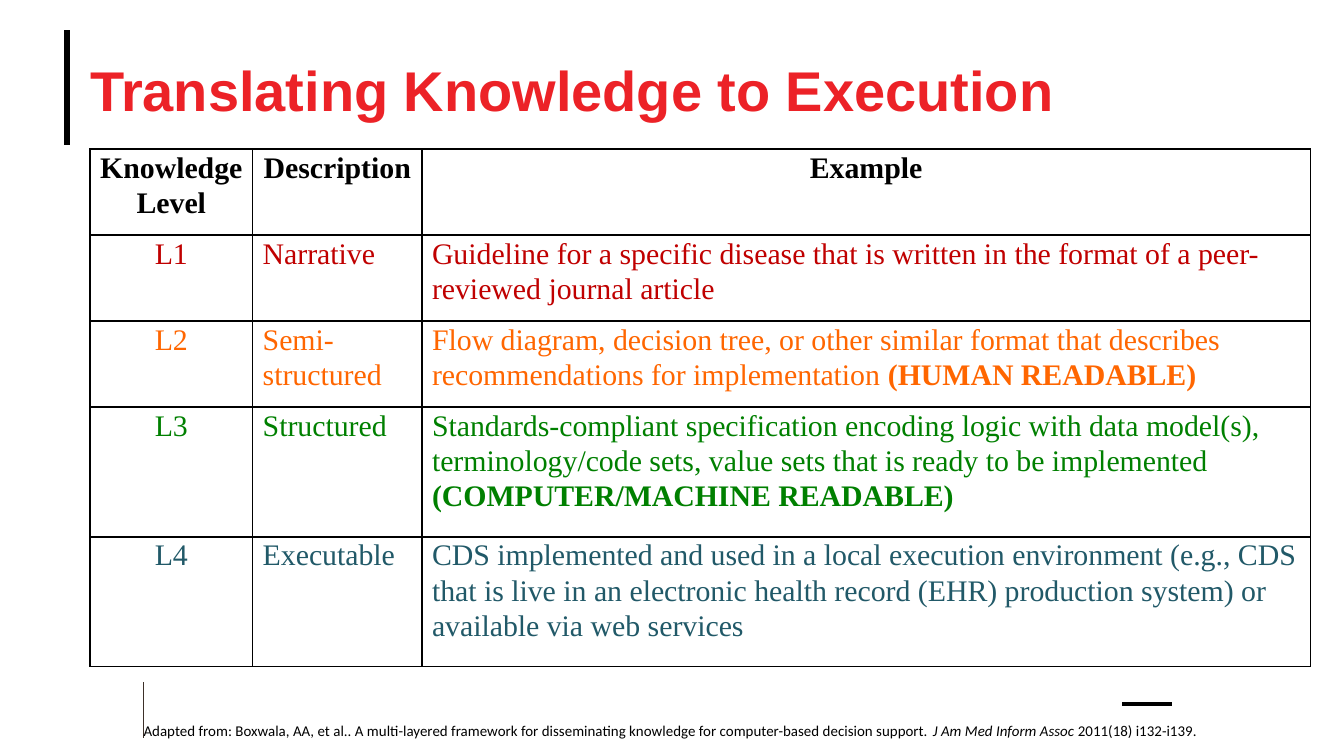
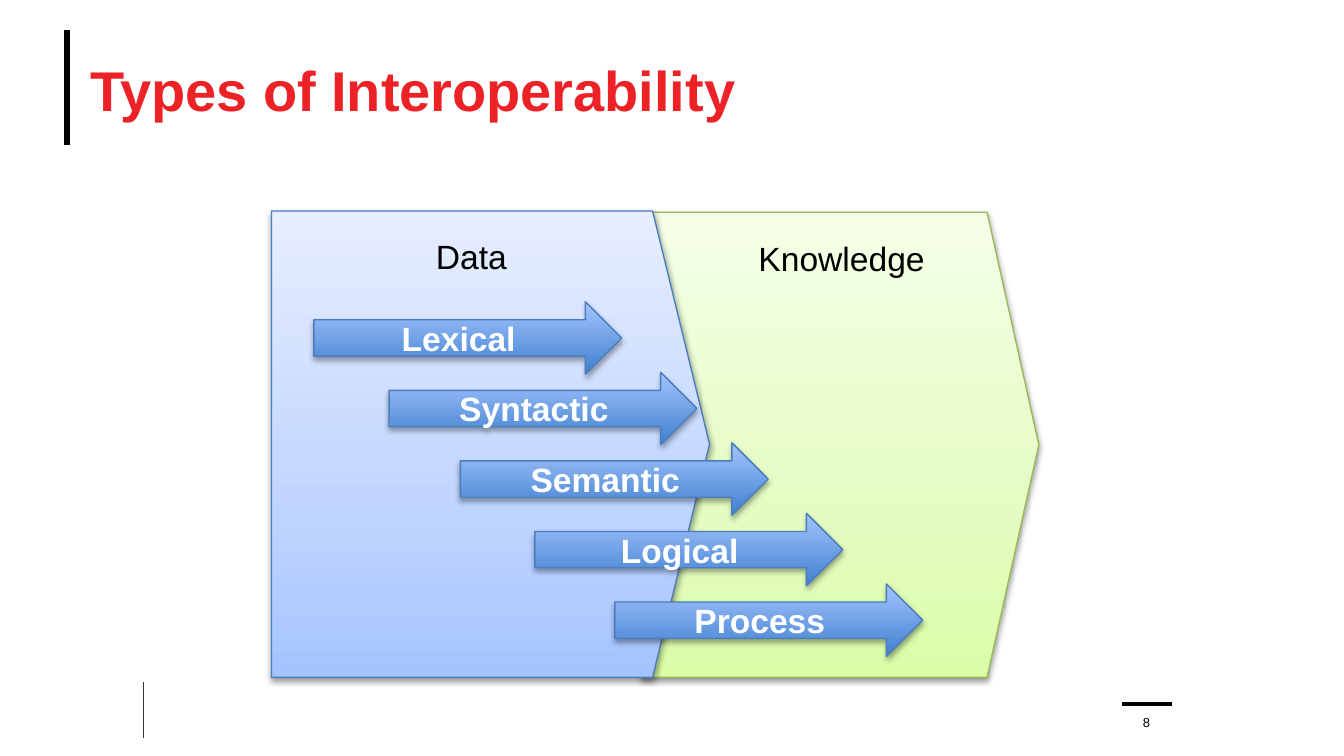
from lxml.etree import SubElement
from pptx import Presentation
from pptx.dml.color import RGBColor
from pptx.enum.shapes import MSO_CONNECTOR, MSO_SHAPE
from pptx.enum.text import MSO_ANCHOR, PP_ALIGN
from pptx.oxml.ns import qn
from pptx.util import Emu, Pt

SCALE = 4572
BLACK, WHITE, RED = "000000", "FFFFFF", "EC2227"
BLUE_LINE, GREEN_LINE = "4B7EBC", "98B955"
ARROW_BLUE = [(0, "3F80CE"), (100, "A4C4FF")]
PALE_BLUE = [(0, "A4C4FF"), (35, "BFD4FF"), (100, "E6EEFF")]
PALE_GREEN = [(0, "DAFDA7"), (35, "E4FCC2"), (100, "F5FFE7")]

LEVEL_HEADERS = ["Knowledge Level", "Description", "Example"]
LEVELS = [
    ("C00000", "L1", "Narrative",
     "Guideline for a specific disease that is written in the format of a "
     "peer-reviewed journal article", ""),
    ("FF6600", "L2", "Semi-structured",
     "Flow diagram, decision tree, or other similar format that describes "
     "recommendations for implementation ", "(HUMAN READABLE)"),
    ("008000", "L3", "Structured",
     "Standards-compliant specification encoding logic with data model(s), "
     "terminology/code sets, value sets that is ready to be implemented ",
     "(COMPUTER/MACHINE READABLE)"),
    ("215968", "L4", "Executable",
     "CDS implemented and used in a local execution environment (e.g., CDS "
     "that is live in an electronic health record (EHR) production system) "
     "or available via web services", ""),
]
INTEROPERABILITY = [("Lexical", 467), ("Syntactic", 579), ("Semantic", 685),
                    ("Logical", 796), ("Process", 915)]


def px(value):
    return Emu(value * SCALE)


def rgb(color):
    return RGBColor.from_string(color)


def write_text(paragraph, text, size=18, font="Arial", color=BLACK,
               bold=False, italic=False):
    run = paragraph.add_run()
    run.text = text
    run.font.size = Pt(size)
    run.font.name = font
    run.font.color.rgb = rgb(color)
    run.font.bold = bold
    run.font.italic = italic


class Deck:
    def __init__(self, width, height):
        self.presentation = Presentation()
        self.presentation.slide_width = px(width)
        self.presentation.slide_height = px(height)
        self.slide = None

    def add_slide(self, title):
        layout = self.presentation.slide_layouts[6]
        self.slide = self.presentation.slides.add_slide(layout)
        self.line(100, 45, 100, 216, BLACK, 3.25)
        self.line(214, 1015, 214, 1098, "3D3029", 0.75)
        self.line(1670, 1048, 1744, 1048, BLACK, 2)
        paragraph = self.text_box(134, 46, 1800, 172, inset=0,
                                  anchor=MSO_ANCHOR.MIDDLE)
        write_text(paragraph, title, size=30, color=RED, bold=True)

    def line(self, x1, y1, x2, y2, color, width):
        connector = self.slide.shapes.add_connector(
            MSO_CONNECTOR.STRAIGHT, px(x1), px(y1), px(x2), px(y2))
        connector.line.color.rgb = rgb(color)
        connector.line.width = Pt(width)
        SubElement(connector._element.spPr, qn("a:effectLst"))

    def text_box(self, left, top, width, height, inset=None,
                 anchor=MSO_ANCHOR.TOP, align=PP_ALIGN.LEFT, wrap=True):
        box = self.slide.shapes.add_textbox(
            px(left), px(top), px(width), px(height))
        frame = box.text_frame
        frame.word_wrap = wrap
        frame.vertical_anchor = anchor
        if inset is not None:
            frame.margin_left = frame.margin_right = px(inset)
            frame.margin_top = frame.margin_bottom = px(inset)
        paragraph = frame.paragraphs[0]
        paragraph.alignment = align
        return paragraph

    def arrow(self, left, top, width, height, stops, line_color,
              shadow=(35, 1.8), adjustments=()):
        shape = self.slide.shapes.add_shape(
            MSO_SHAPE.RIGHT_ARROW, px(left), px(top), px(width), px(height))
        for index, value in enumerate(adjustments):
            shape.adjustments[index] = value
        shape.line.color.rgb = rgb(line_color)
        shape.line.width = Pt(0.75)
        self.fill_gradient(shape, stops)
        self.drop_shadow(shape, *shadow)
        shape.text_frame.vertical_anchor = MSO_ANCHOR.MIDDLE
        paragraph = shape.text_frame.paragraphs[0]
        paragraph.alignment = PP_ALIGN.CENTER
        return paragraph

    def fill_gradient(self, shape, stops):
        shape.fill.gradient()
        shape.fill.gradient_angle = 90
        stop_list = shape._element.spPr.find(qn("a:gradFill")).find(qn("a:gsLst"))
        for stop in list(stop_list):
            stop_list.remove(stop)
        for position, color in stops:
            stop = SubElement(stop_list, qn("a:gs"), pos=str(position * 1000))
            SubElement(stop, qn("a:srgbClr"), val=color)

    def drop_shadow(self, shape, opacity, distance):
        shape.shadow.inherit = False
        effects = shape._element.spPr.find(qn("a:effectLst"))
        shadow = SubElement(effects, qn("a:outerShdw"), blurRad=str(Pt(3.1)),
                            dist=str(Pt(distance)), dir="5400000",
                            rotWithShape="0")
        color = SubElement(shadow, qn("a:srgbClr"), val=BLACK)
        SubElement(color, qn("a:alpha"), val=str(opacity * 1000))

    def table(self, left, top, columns, rows):
        frame = self.slide.shapes.add_table(
            len(rows), len(columns), px(left), px(top),
            px(sum(columns)), px(sum(rows)))
        table = frame.table
        table.first_row = table.horz_banding = False
        for column, width in zip(table.columns, columns):
            column.width = px(width)
        for row, height in zip(table.rows, rows):
            row.height = px(height)
        return table

    def cell(self, cell, text, emphasis="", align=PP_ALIGN.LEFT,
             color=BLACK, bold=False):
        cell.margin_left = cell.margin_right = px(15)
        cell.margin_top = cell.margin_bottom = 0
        properties = cell._tc.get_or_add_tcPr()
        for side in ("lnL", "lnR", "lnT", "lnB"):
            border = SubElement(properties, qn(f"a:{side}"), w=str(Pt(1)))
            fill = SubElement(border, qn("a:solidFill"))
            SubElement(fill, qn("a:srgbClr"), val=BLACK)
        cell.fill.solid()
        cell.fill.fore_color.rgb = rgb(WHITE)
        paragraph = cell.text_frame.paragraphs[0]
        paragraph.alignment = align
        paragraph.line_spacing = 1.07
        style = dict(size=16, font="Times New Roman", color=color)
        write_text(paragraph, text, bold=bold, **style)
        if emphasis:
            write_text(paragraph, emphasis, bold=True, **style)

    def save(self):
        self.presentation.save("out.pptx")


def build_knowledge_levels(deck):
    deck.add_slide("Translating Knowledge to Execution")
    source = deck.text_box(0, 1064, 2000, 48, align=PP_ALIGN.CENTER)
    style = dict(size=8, font="Calibri")
    write_text(source, "Adapted from: Boxwala, AA, et al.. A multi-layered "
               "framework for disseminating knowledge for computer-based "
               "decision support. ", **style)
    write_text(source, "J Am Med Inform Assoc ", italic=True, **style)
    write_text(source, "2011(18) i132-i139. ", **style)

    table = deck.table(134, 222, [242, 252, 1322], [128, 128, 128, 193, 193])
    for column, header in enumerate(LEVEL_HEADERS):
        deck.cell(table.cell(0, column), header, align=PP_ALIGN.CENTER, bold=True)
    for row, (color, level, description, example, emphasis) in enumerate(LEVELS, 1):
        deck.cell(table.cell(row, 0), level, align=PP_ALIGN.CENTER, color=color)
        deck.cell(table.cell(row, 1), description, color=color)
        deck.cell(table.cell(row, 2), example, emphasis, color=color)


def build_interoperability(deck):
    deck.add_slide("Types of Interoperability")
    panel = dict(shadow=(38, 1.6), adjustments=(1, 0.13))
    deck.arrow(954, 316, 592, 692, PALE_GREEN, GREEN_LINE, **panel)
    deck.arrow(404, 314, 652, 694, PALE_BLUE, BLUE_LINE, **panel)
    number = deck.text_box(1676, 1053, 60, 34, inset=0,
                           anchor=MSO_ANCHOR.BOTTOM, align=PP_ALIGN.CENTER)
    write_text(number, "8", size=7)
    for index, (name, left) in enumerate(INTEROPERABILITY):
        label = deck.arrow(left, 449 + 105 * index, 458, 108,
                           ARROW_BLUE, BLUE_LINE)
        write_text(label, name, color=WHITE, bold=True)
    write_text(deck.text_box(629, 342, 146, 80, wrap=False), "Data")
    write_text(deck.text_box(1109, 344, 290, 80, wrap=False), "Knowledge")


def main():
    deck = Deck(2000, 1125)
    build_knowledge_levels(deck)
    build_interoperability(deck)
    deck.save()


if __name__ == "__main__":
    main()
